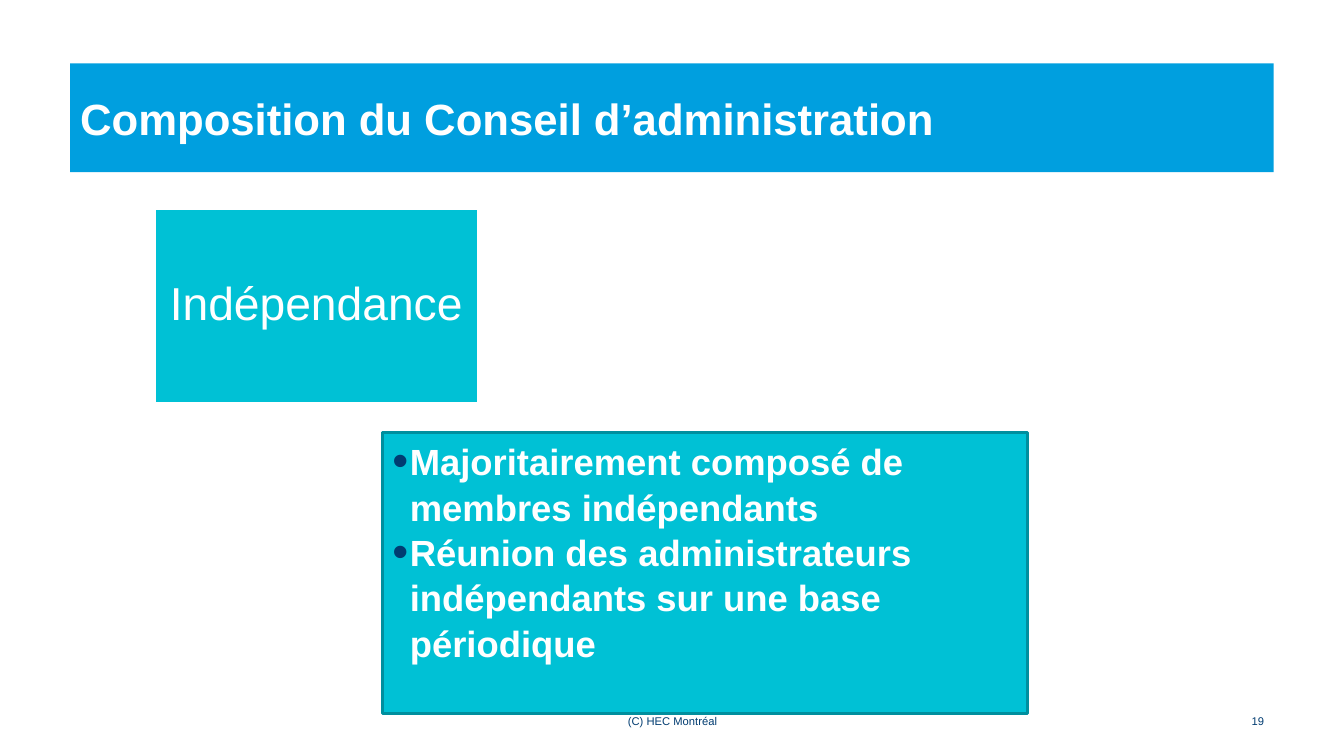
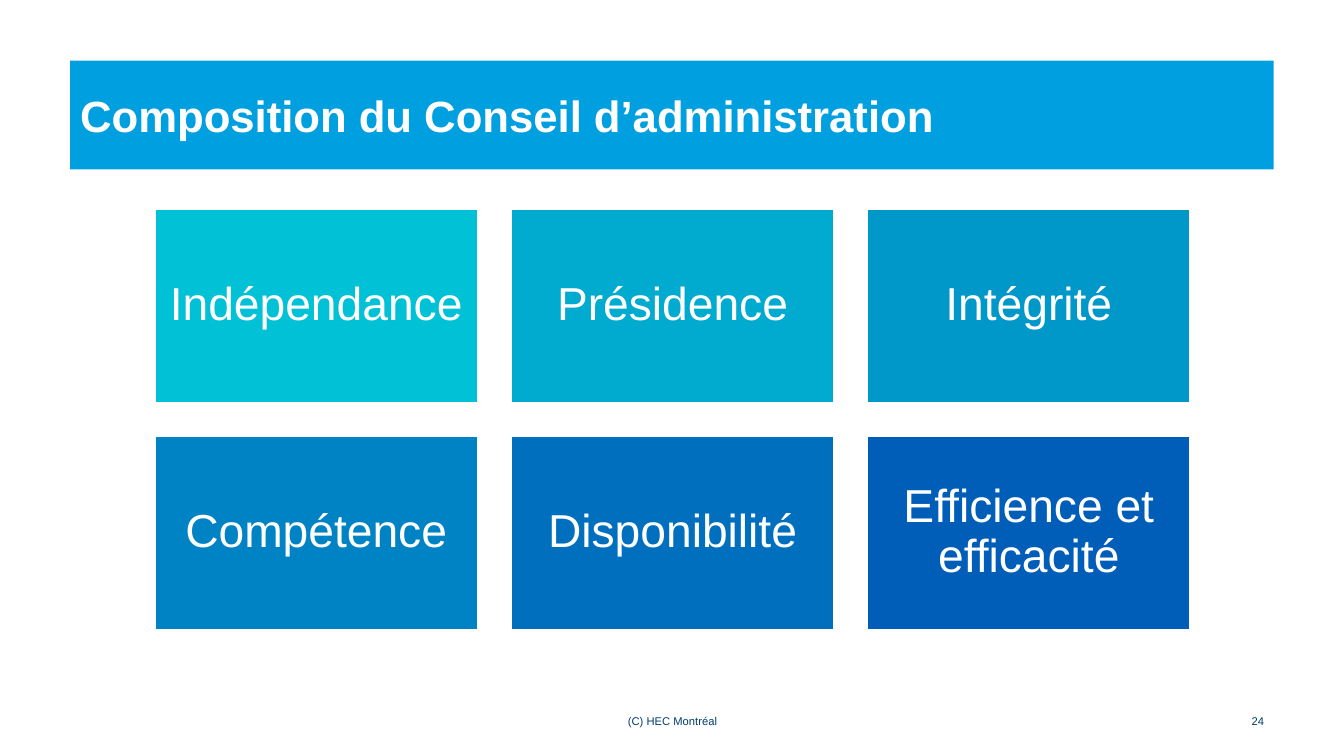
from lxml import etree
from pptx import Presentation
from pptx import util as u
from pptx.dml.color import RGBColor
from pptx.enum import shapes, text
from pptx.oxml.ns import qn

TITLE = "Composition du Conseil d’administration"
FOOTER = "(C) HEC Montréal"
THEMES = [
    ("Indépendance", "00C1D5"), ("Présidence", "00ABCF"), ("Intégrité", "0097C9"),
    ("Compétence", "0083C4"), ("Disponibilité", "0070BE"), ("Efficience et efficacité", "005EB8"),
]
INDEPENDENCE_RULES = [
    "Majoritairement composé de membres indépendants",
    "Réunion des administrateurs indépendants sur une base périodique",
]


def colour(value):
    return RGBColor.from_string(value)


class Style:
    FONT = "Arial"
    WHITE, NAVY, BAND = "FFFFFF", "003C71", "009FDF"
    PANEL, PANEL_EDGE = "00C1D5", "008F9E"
    LEFT, CENTER, RIGHT = text.PP_ALIGN.LEFT, text.PP_ALIGN.CENTER, text.PP_ALIGN.RIGHT
    MIDDLE, TOP = text.MSO_ANCHOR.MIDDLE, text.MSO_ANCHOR.TOP

    # Tile grid, in centimetres
    GRID_LEFT, GRID_TOP = 3.89, 5.26
    TILE_WIDTH, TILE_HEIGHT, GAP = 8.16, 4.9, 0.82
    COLUMNS = 3

    def __init__(self):
        self.deck = Presentation()
        self.deck.slide_width, self.deck.slide_height = u.Cm(33.87), u.Cm(19.05)
        self.page = None

    def new_page(self, number, title_top):
        self.page = self.deck.slides.add_slide(self.deck.slide_layouts[6])
        self.title(title_top)
        self.footer(FOOTER, 11.59, 10.72, self.CENTER)
        self.footer(str(number), 30.38, 1.73, self.RIGHT)

    # Shared helpers
    def rectangle(self, left, top, width, height, fill, line=None):
        box = self.page.shapes.add_shape(
            shapes.MSO_SHAPE.RECTANGLE, u.Cm(left), u.Cm(top), u.Cm(width), u.Cm(height))
        box.shadow.inherit = False
        box.fill.solid()
        box.fill.fore_color.rgb = colour(fill)
        if line:
            box.line.color.rgb = colour(line)
            box.line.width = u.Pt(2)
        else:
            box.line.fill.background()
        return box

    def set_text(self, box, lines, size, ink, align, anchor, bold=False):
        frame = box.text_frame
        frame.word_wrap = True
        frame.vertical_anchor = anchor
        frame.text = "\n".join(lines)
        for para in frame.paragraphs:
            para.alignment = align
            for span in para.runs:
                span.font.name = self.FONT
                span.font.size = u.Pt(size)
                span.font.bold = bold
                span.font.color.rgb = colour(ink)
        return frame

    def bullet(self, para):
        props = para._p.get_or_add_pPr()
        props.set("marL", str(u.Cm(0.44)))
        props.set("indent", str(-u.Cm(0.44)))
        ink = etree.SubElement(props, qn("a:buClr"))
        etree.SubElement(ink, qn("a:srgbClr")).set("val", self.NAVY)
        etree.SubElement(props, qn("a:buSzPct")).set("val", "125000")
        etree.SubElement(props, qn("a:buFont")).set("typeface", self.FONT)
        etree.SubElement(props, qn("a:buChar")).set("char", "•")

    # Elements
    def title(self, top):
        band = self.rectangle(1.77, top, 30.33, 2.74, self.BAND)
        self.set_text(band, [TITLE], 31.2, self.WHITE, self.LEFT, self.MIDDLE, bold=True)

    def footer(self, words, left, width, align):
        box = self.page.shapes.add_textbox(u.Cm(left), u.Cm(17.95), u.Cm(width), u.Cm(0.46))
        frame = self.set_text(box, [words], 8, self.NAVY, align, self.MIDDLE)
        frame.margin_top = frame.margin_bottom = 0

    def tiles(self, themes):
        for index, (name, fill) in enumerate(themes):
            row, column = divmod(index, self.COLUMNS)
            left = self.GRID_LEFT + column * (self.TILE_WIDTH + self.GAP)
            top = self.GRID_TOP + row * (self.TILE_HEIGHT + self.GAP)
            tile = self.rectangle(left, top, self.TILE_WIDTH, self.TILE_HEIGHT, fill, self.WHITE)
            frame = self.set_text(tile, [name], 33, self.WHITE, self.CENTER, self.MIDDLE)
            frame.margin_left = frame.margin_right = u.Cm(0.35)
            frame.paragraphs[0].line_spacing = 0.9

    def bullet_panel(self, lines):
        panel = self.rectangle(9.64, 10.9, 16.26, 7.08, self.PANEL, self.PANEL_EDGE)
        frame = self.set_text(panel, lines, 26, self.WHITE, self.LEFT, self.TOP, bold=True)
        for para in frame.paragraphs:
            para.line_spacing = 1.04
            self.bullet(para)


def main():
    style = Style()

    # Independence in detail
    style.new_page(19, title_top=1.6)
    style.tiles(THEMES[:1])
    style.bullet_panel(INDEPENDENCE_RULES)

    # All six themes
    style.new_page(24, title_top=1.53)
    style.tiles(THEMES)

    style.deck.save("out.pptx")


if __name__ == "__main__":
    main()
